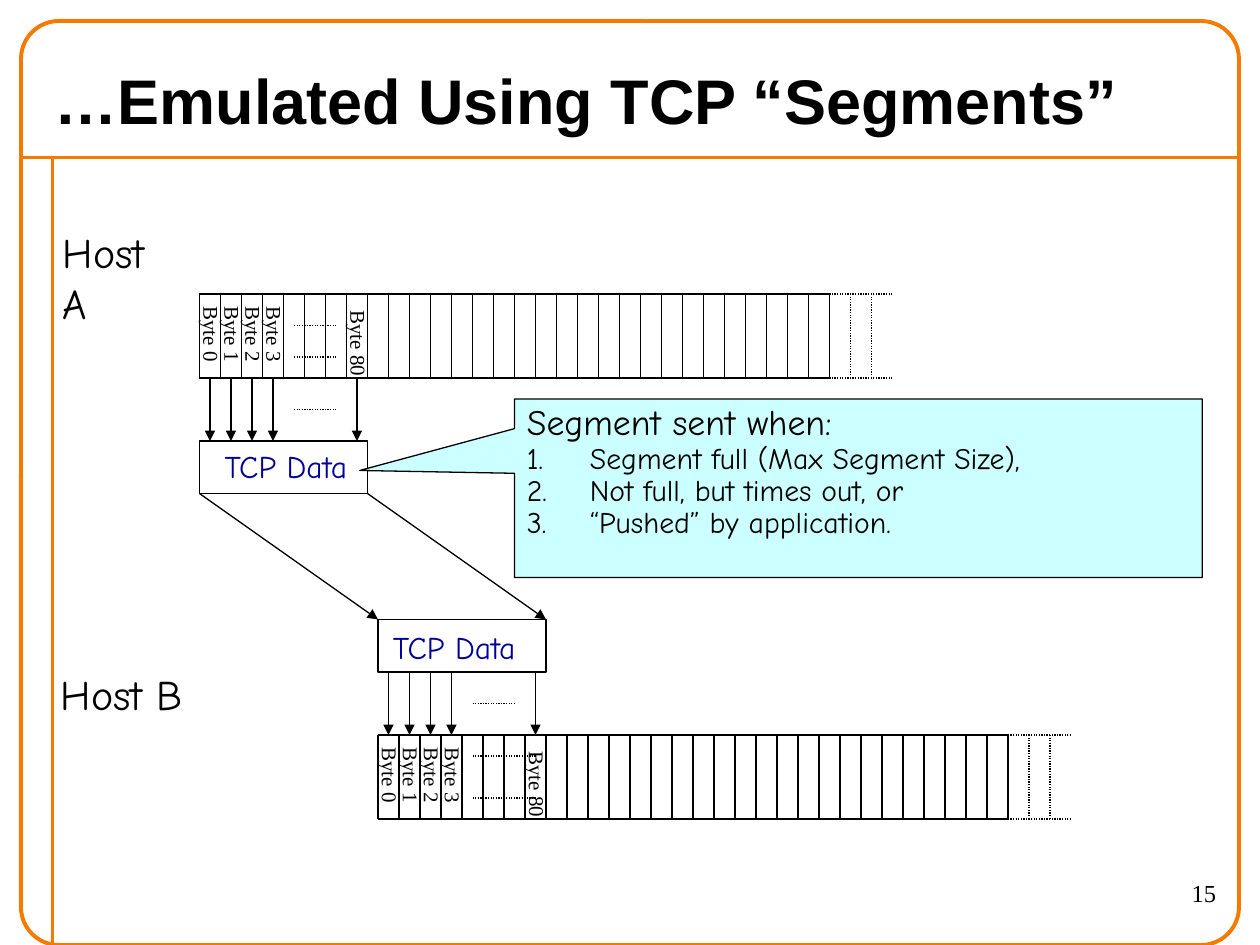
from lxml import etree
from pptx import Presentation
from pptx.dml.color import RGBColor
from pptx.enum.dml import MSO_LINE
from pptx.enum.shapes import MSO_CONNECTOR, MSO_SHAPE
from pptx.enum.text import MSO_ANCHOR, MSO_AUTO_SIZE, PP_ALIGN
from pptx.oxml.ns import qn
from pptx.util import Inches, Pt

STRAIGHT = MSO_CONNECTOR.STRAIGHT
DOTTED = MSO_LINE.ROUND_DOT
FIT_SHAPE = MSO_AUTO_SIZE.SHAPE_TO_FIT_TEXT
LEFT, RIGHT = PP_ALIGN.LEFT, PP_ALIGN.RIGHT

BLACK = RGBColor(0x00, 0x00, 0x00)
WHITE = RGBColor(0xFF, 0xFF, 0xFF)
ORANGE = RGBColor(0xF4, 0x7A, 0x00)
NAVY = RGBColor(0x00, 0x00, 0x99)
PALE_CYAN = RGBColor(0xCC, 0xFF, 0xFF)
SERIF, HAND, SANS = "Times New Roman", "Comic Neue", "Arial"

COLUMNS, ROWS = 60, 45  # one byte of a stream is one column wide
SOLID_BYTES, FADING_BYTES = 30, 3
STREAM_ROWS, ARROW_ROWS = 4, 3
SEGMENT_COLUMNS, SEGMENT_ROWS = 8, 2.5
BYTE_LABELS = {0: "Byte 0", 1: "Byte 1", 2: "Byte 2", 3: "Byte 3", 7: "Byte 80"}
GAP_START = 4.5


def grid(*cells):
    return [Inches(cell / 6) for cell in cells]


def format_runs(paragraph, size, font, color, bold=False):
    for run in paragraph.runs:
        run.font.size = Pt(size)
        run.font.name = font
        run.font.bold = bold
        run.font.color.rgb = color


def add_line(slide, start, end, color=BLACK, width=0.75, dash=None, arrow=False):
    line = slide.shapes.add_connector(STRAIGHT, *grid(*start, *end))
    line.line.color.rgb = color
    line.line.width = Pt(width)
    if dash:
        line.line.dash_style = dash
    if arrow:
        etree.SubElement(line.line._get_or_add_ln(), qn("a:tailEnd"), type="triangle")
    etree.SubElement(line._element.spPr, qn("a:effectLst"))
    return line


def add_box(slide, kind, box, fill=None, color=BLACK, width=0.75):
    shape = slide.shapes.add_shape(kind, *grid(*box))
    shape.shadow.inherit = False
    if fill is None:
        shape.fill.background()
    else:
        shape.fill.solid()
        shape.fill.fore_color.rgb = fill
    shape.line.color.rgb = color
    shape.line.width = Pt(width)
    return shape


def add_label(slide, text, box, size, font, color=BLACK):
    label = slide.shapes.add_textbox(*grid(*box))
    frame = label.text_frame
    frame.word_wrap = False
    frame.auto_size = FIT_SHAPE
    frame.text = text
    format_runs(frame.paragraphs[0], size, font, color)
    return label


def add_frame(slide, left, top, width, height):
    rule_top, rule_left = top + 6.5, left + 1.5
    add_line(slide, (left, rule_top), (left + width, rule_top), ORANGE, 2.25)
    add_line(slide, (rule_left, rule_top), (rule_left, top + height), ORANGE, 2.25)
    border = add_box(slide, MSO_SHAPE.ROUNDED_RECTANGLE, (left, top, width, height),
                     color=ORANGE, width=2.25)
    border.adjustments[0] = 0.041


def set_title(slide, text, box):
    title = slide.shapes.title
    title.left, title.top, title.width, title.height = grid(*box)
    frame = title.text_frame
    frame.text = text
    frame.vertical_anchor = MSO_ANCHOR.MIDDLE
    frame.paragraphs[0].alignment = LEFT
    format_runs(frame.paragraphs[0], 36, SANS, BLACK, bold=True)


def add_page_number(slide, text, box):
    number = slide.shapes.add_textbox(*grid(*box))
    number.text_frame.word_wrap = True
    number.text_frame.text = text
    paragraph = number.text_frame.paragraphs[0]
    paragraph.alignment = RIGHT
    format_runs(paragraph, 14, SERIF, BLACK)


def add_stream(slide, left, top, gap_columns, gap_rows):
    """Draw a byte stream that fades out to the right, with its labelled bytes."""
    bottom = top + STREAM_ROWS
    solid_end = left + SOLID_BYTES
    for y in (top, bottom):
        add_line(slide, (left, y), (solid_end, y))
        add_line(slide, (solid_end + FADING_BYTES, y), (solid_end, y), dash=DOTTED)
    for index in range(SOLID_BYTES + FADING_BYTES):
        x = left + index
        add_line(slide, (x, top), (x, bottom), dash=DOTTED if index > SOLID_BYTES else None)
    for index, text in BYTE_LABELS.items():
        width, height = (3.84 if len(text) == 6 else 4.32), 1.8
        center_x = left + index + 0.58
        center_y = top + (1.92 if len(text) == 6 else 2.34)
        box = (center_x - width / 2, center_y - height / 2, width, height)
        add_label(slide, text, box, 12, SERIF).rotation = 89.8
    for row in gap_rows:
        add_gap(slide, left, top + row, gap_columns)


def add_gap(slide, left, y, columns):
    """Mark the bytes left out between Byte 3 and Byte 80."""
    start = left + GAP_START
    add_line(slide, (start, y), (start + columns, y), dash=DOTTED)


def add_byte_arrows(slide, left, top):
    for index in BYTE_LABELS:
        x = left + index + 0.5
        add_line(slide, (x, top), (x, top + ARROW_ROWS), arrow=True)
    add_gap(slide, left, top + ARROW_ROWS / 2, 2)


def add_segment(slide, left, top, label_left, label_top):
    add_box(slide, MSO_SHAPE.RECTANGLE, (left, top, SEGMENT_COLUMNS, SEGMENT_ROWS), WHITE)
    add_label(slide, "TCP Data", (left + label_left, top + label_top, 7.14, 2.4),
              18, HAND, NAVY)


def add_callout(slide, box, heading, reasons):
    callout = add_box(slide, MSO_SHAPE.RECTANGULAR_CALLOUT, box, PALE_CYAN)
    callout.adjustments[0], callout.adjustments[1] = -0.725, -0.099
    frame = callout.text_frame
    frame.word_wrap = True
    frame.vertical_anchor = MSO_ANCHOR.TOP
    frame.text = "\n".join([heading, *reasons])
    for index, paragraph in enumerate(frame.paragraphs):
        paragraph.alignment = LEFT
        paragraph.line_spacing = 0.9
        properties = paragraph._p.get_or_add_pPr()
        properties.set("marL", str(Inches(0.5)))
        properties.set("indent", str(-Inches(0.5)))
        if index:
            bullet_color = etree.SubElement(properties, qn("a:buClr"))
            etree.SubElement(bullet_color, qn("a:srgbClr"), val=str(BLACK))
            etree.SubElement(properties, qn("a:buAutoNum"), type="arabicPeriod")
        format_runs(paragraph, 17 if index else 20.4, HAND, BLACK)


def build_segments_slide(presentation):
    slide = presentation.slides.add_slide(presentation.slide_layouts[5])
    add_frame(slide, 1, 1, COLUMNS - 2, ROWS - 1)
    set_title(slide, "…Emulated Using TCP “Segments”", (2, 2.5, 53, 4.5))
    add_page_number(slide, "15", (52.5, 41.5, 6, 2.5))

    sender_left, sender_top = 9.5, 14
    receiver_left, receiver_top = 18, 35
    sender_arrows = sender_top + STREAM_ROWS
    sent_top = sender_arrows + ARROW_ROWS
    receiver_arrows = receiver_top - ARROW_ROWS
    received_top = receiver_arrows - SEGMENT_ROWS

    add_label(slide, "Host A", (2.4, 10.5, 6.9, 3), 24, HAND)
    add_stream(slide, sender_left, sender_top, 2, (1.5, 3))
    add_byte_arrows(slide, sender_left, sender_arrows)
    add_segment(slide, sender_left, sent_top, 0.6, 0)

    add_label(slide, "Host B", (2.3, 31.55, 7, 3), 24, HAND)
    add_stream(slide, receiver_left, receiver_top, 3, (1, 3))
    add_segment(slide, receiver_left, received_top, 0.12, 0.12)
    add_byte_arrows(slide, receiver_left, receiver_arrows)

    for corner in (0, SEGMENT_COLUMNS):
        add_line(slide, (sender_left + corner, sent_top + SEGMENT_ROWS),
                 (receiver_left + corner, received_top), arrow=True)
    add_callout(slide, (24.5, 19, 32.75, 8.5), "Segment sent when:",
                ["Segment full (Max Segment Size),",
                 "Not full, but times out, or",
                 "“Pushed” by application."])


def main():
    presentation = Presentation()
    presentation.slide_width, presentation.slide_height = grid(COLUMNS, ROWS)
    build_segments_slide(presentation)
    presentation.save("out.pptx")


if __name__ == "__main__":
    main()
